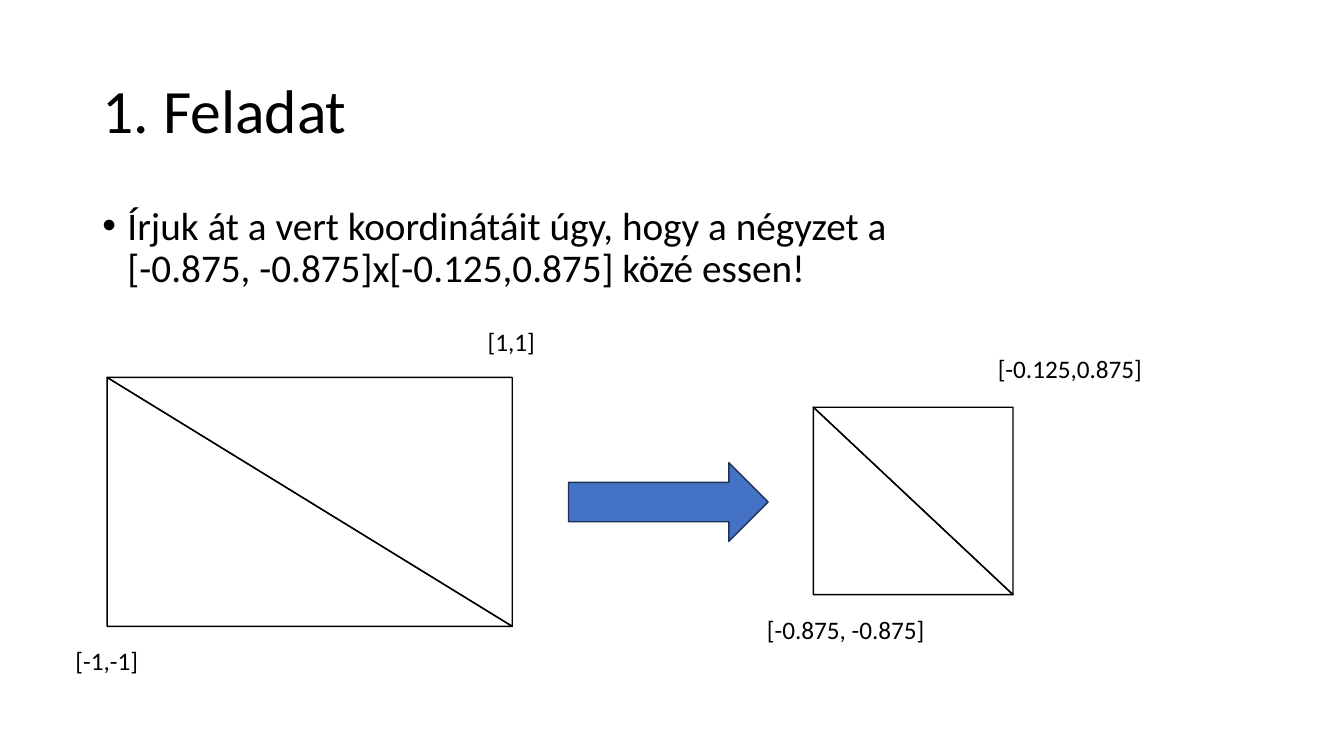
"""Build the exercise slide that maps a large square onto a smaller one."""
from lxml import etree
from pptx import Presentation
from pptx.dml.color import RGBColor
from pptx.enum.shapes import MSO_SHAPE
from pptx.enum.text import MSO_ANCHOR, MSO_AUTO_SIZE, PP_ALIGN
from pptx.oxml.ns import qn
from pptx.util import Pt

HALF = MSO_SHAPE.ISOSCELES_TRIANGLE
ARROW = MSO_SHAPE.RIGHT_ARROW
MIDDLE, TOP = MSO_ANCHOR.MIDDLE, MSO_ANCHOR.TOP
FIXED, LEFT = MSO_AUTO_SIZE.NONE, PP_ALIGN.LEFT
FONT = "Calibri"
COLORS = {"ink": "000000", "arrow": "4472C4", "edge": "1E3256"}


def write(shape, text, size, anchor=TOP, wrap=True):
    frame = shape.text_frame
    frame.text = text
    frame.auto_size = FIXED
    frame.word_wrap = wrap
    frame.vertical_anchor = anchor
    para = frame.paragraphs[0]
    para.alignment = LEFT
    for run in para.runs:
        run.font.name = FONT
        run.font.size = Pt(size)
        run.font.color.rgb = RGBColor.from_string(COLORS["ink"])
    return para


def draw(kind, box, edge, fill=None):
    shape = slide.shapes.add_shape(kind, *map(Pt, box))
    shape.shadow.inherit = False
    shape.line.color.rgb = RGBColor.from_string(COLORS[edge])
    shape.line.width = Pt(1)
    if fill:
        shape.fill.solid()
        shape.fill.fore_color.rgb = RGBColor.from_string(COLORS[fill])
    else:
        shape.fill.background()
    return shape


deck = Presentation()
deck.slide_width, deck.slide_height = Pt(960), Pt(540)
slide = deck.slides.add_slide(deck.slide_layouts[5])

title = slide.shapes.title
title.left, title.top, title.width, title.height = map(Pt, (66, 28.8, 828, 104.4))
write(title, "1. Feladat", 44, MIDDLE).line_spacing = 0.9

body = slide.shapes.add_textbox(*map(Pt, (66, 143.8, 828, 342.6)))
task = write(body, "Írjuk át a vert koordinátáit úgy, hogy a négyzet a "
             "\v[-0.875, -0.875]x[-0.125,0.875] közé essen!", 28)
task.line_spacing = 0.9
task.space_before = Pt(10)
props = task._p.get_or_add_pPr()
props.set("marL", str(Pt(18)))
props.set("indent", str(Pt(-18)))
etree.SubElement(props, qn("a:buFont")).set("typeface", "Arial")
etree.SubElement(props, qn("a:buChar")).set("char", "•")

squares = [(76.5, 269.6, 289.4, 177.8), (581, 290.9, 142.6, 133.9)]
for square in squares:
    for turn in (0, 180):
        half = draw(HALF, square, "ink")
        half.adjustments[0] = 0
        half.rotation = turn

draw(ARROW, (406.1, 330.5, 142.6, 56.2), "edge", "arrow")

labels = [
    ("[-1,-1]", 46.8, 457.5, 59.8),
    ("[1,1]", 341.3, 229.7, 49),
    ("[-0.875, -0.875]", 540.7, 435.2, 128.2),
    ("[-0.125,0.875]", 705.6, 249.1, 118.8),
]
for text, left, top, width in labels:
    label = slide.shapes.add_textbox(Pt(left), Pt(top), Pt(width), Pt(29))
    write(label, text, 18, wrap=False)

deck.save("out.pptx")
